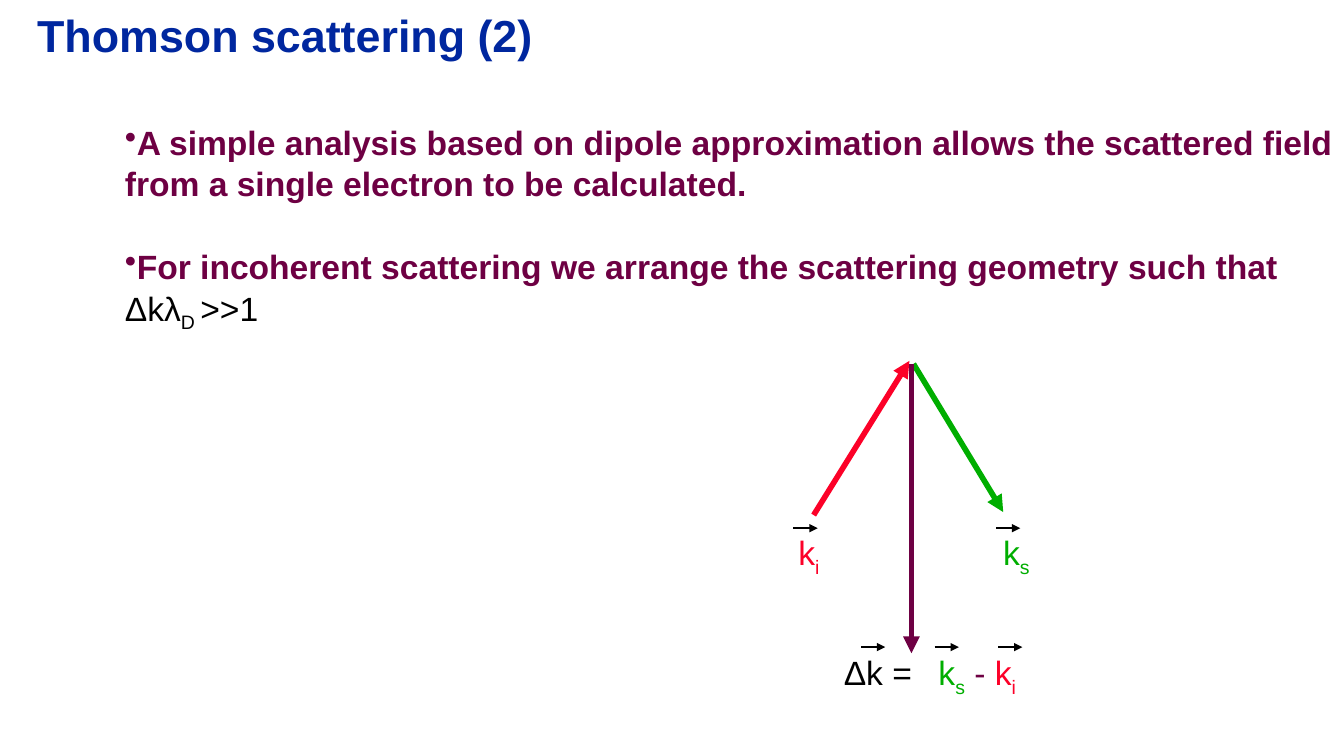
import pptx
import pptx.dml.color
import pptx.enum.shapes
import pptx.enum.text
import pptx.util
from lxml import etree

INK, NAVY, PLUM, RED, GREEN = "000000", "00279F", "6E0043", "FC0128", "00AE00"
Inches, Pt = pptx.util.Inches, pptx.util.Pt


def paint(colour_format, hex_colour):
    colour_format.rgb = pptx.dml.color.RGBColor.from_string(hex_colour)


def write(paragraph, pieces, size=24):
    """Add (text, colour, bold, subscript) pieces to a paragraph."""
    for words, hex_colour, bold, subscript in pieces:
        run = paragraph.add_run()
        run.text = words
        run.font.name, run.font.size, run.font.bold = "Arial", Pt(size), bold
        paint(run.font.color, hex_colour)
        if subscript:
            run.font._element.set("baseline", "-25000")


deck = pptx.Presentation()
deck.slide_width, deck.slide_height = Inches(13.33), Inches(7.5)
slide = deck.slides.add_slide(deck.slide_layouts[6])

# Title
title = slide.shapes.add_textbox(Inches(0.27), 0, Inches(13.06), Inches(0.69)).text_frame
title.word_wrap = True
title.vertical_anchor = pptx.enum.text.MSO_ANCHOR.MIDDLE
write(title.paragraphs[0], [("Thomson scattering (2)", NAVY, True, False)], 32)

# Bulleted statements
statements = [
    [("A simple analysis based on dipole approximation allows the scattered field "
      "from a single electron to be calculated.", PLUM, True, False)],
    [("For incoherent scattering we arrange the scattering geometry such that ", PLUM, True, False),
     ("Δkλ", INK, False, False), ("D ", INK, False, True), (">>1", INK, False, False)],
]
body = slide.shapes.add_textbox(0, Inches(1.14), Inches(13.33), Inches(5.8)).text_frame
body.word_wrap = True
for number, statement in enumerate(statements):
    paragraph = body.add_paragraph() if number else body.paragraphs[0]
    paragraph.line_spacing = 1.04
    if number:
        paragraph.space_before = Pt(28.8)
    properties = paragraph._p.get_or_add_pPr()
    properties.set("marL", str(Inches(1.14)))
    properties.set("indent", "0")
    bullet = etree.SubElement(properties, pptx.oxml.ns.qn("a:buChar"))
    bullet.set("char", "•")
    write(paragraph, statement)

# Wave vectors, then the small arrows above each vector symbol
wave_vectors = [
    (8.07, 5.11, 9.02, 3.58, RED, 4),
    (9.06, 3.61, 9.95, 5.08, GREEN, 4),
    (9.04, 3.61, 9.04, 6.48, PLUM, 4),
]
symbol_marks = [(7.87, 5.24), (9.88, 5.24), (8.54, 6.42), (9.27, 6.42), (9.9, 6.42)]
wave_vectors += [(x, y, x + 0.24, y, INK, 1.5) for x, y in symbol_marks]
for x1, y1, x2, y2, hex_colour, weight in wave_vectors:
    arrow = slide.shapes.add_connector(
        pptx.enum.shapes.MSO_CONNECTOR.STRAIGHT, Inches(x1), Inches(y1), Inches(x2), Inches(y2))
    paint(arrow.line.color, hex_colour)
    arrow.line.width = Pt(weight)
    head = etree.SubElement(arrow.line._get_or_add_ln(), pptx.oxml.ns.qn("a:tailEnd"))
    head.set("type", "triangle")
    etree.SubElement(arrow._element.spPr, pptx.oxml.ns.qn("a:effectLst"))

# Vector symbols and the difference equation
k_incident = [("k", RED, False, False), ("i", RED, False, True)]
k_scattered = [("k", GREEN, False, False), ("s", GREEN, False, True)]
minus = [(" - ", PLUM, False, False)]
symbols = [
    (7.82, 5.23, 0.42, k_incident),
    (9.85, 5.23, 0.48, k_scattered),
    (8.27, 6.42, 0.95, [("Δk =", INK, False, False)]),
    (9.21, 6.42, 1, k_scattered + minus + k_incident),
]
for left, top, width, pieces in symbols:
    symbol = slide.shapes.add_textbox(Inches(left), Inches(top), Inches(width), Inches(0.5)).text_frame
    symbol.word_wrap = False
    symbol.auto_size = pptx.enum.text.MSO_AUTO_SIZE.SHAPE_TO_FIT_TEXT
    write(symbol.paragraphs[0], pieces)

deck.save("out.pptx")
